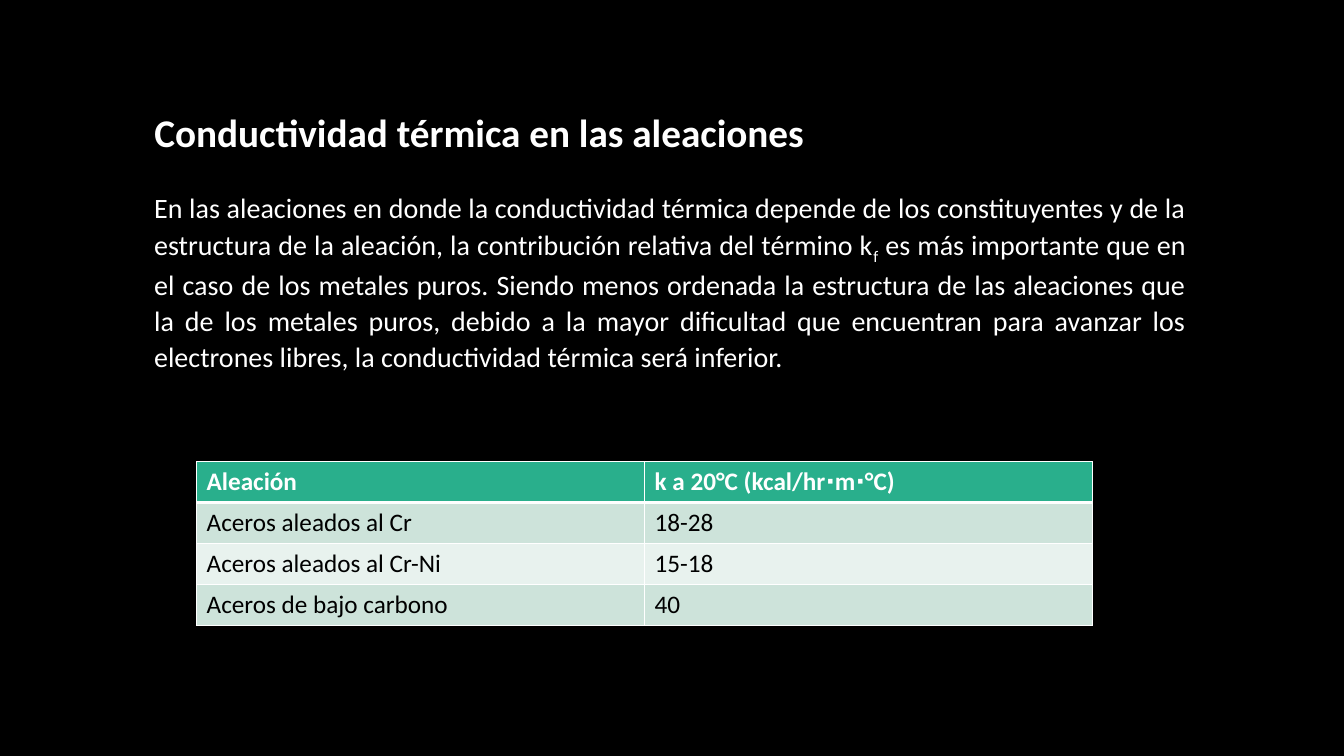
"""Slide on the thermal conductivity of alloys, with a table of values."""
from lxml import etree
from pptx import Presentation, util as u
from pptx.dml.color import RGBColor
from pptx.enum import text
from pptx.oxml.ns import qn

COLORS = {"back": "000000", "light": "FFFFFF", "dark": "000000",
          "header": "29AF8C", "band": "CDE3DA", "pale": "E8F2EE"}


def format_font(font, size, color, bold=False):
    for name, value in {"name": "Calibri", "size": u.Pt(size), "bold": bold}.items():
        setattr(font, name, value)
    font.color.rgb = RGBColor.from_string(COLORS[color])


def add_border(cell, side, points):
    line = etree.SubElement(cell._tc.get_or_add_tcPr(), qn(f"a:ln{side}"),
                            w=str(u.Pt(points)))
    fill = etree.SubElement(line, qn("a:solidFill"))
    etree.SubElement(fill, qn("a:srgbClr"), val=COLORS["light"])


deck = Presentation()
deck.slide_width, deck.slide_height = u.Inches(13.33), u.Inches(7.5)
column, row = deck.slide_width / 100, deck.slide_height / 100
slide = deck.slides.add_slide(deck.slide_layouts[5])
slide.background.fill.solid()
slide.background.fill.fore_color.rgb = RGBColor.from_string(COLORS["back"])

left, width = int(10.73 * column), int(78.25 * column)
heading = slide.shapes.title
explanation = slide.shapes.add_textbox(left, int(24.27 * row), width, int(26 * row))
for name, value in {"left": left, "top": int(13.2 * row),
                    "width": width, "height": int(8.5 * row)}.items():
    setattr(heading, name, value)

heading.text_frame.text = "Conductividad térmica en las aleaciones"
paragraph = explanation.text_frame.paragraphs[0]
for words, baseline in [
    ("En las aleaciones en donde la conductividad térmica depende de los "
     "constituyentes y de la estructura de la aleación, la contribución relativa "
     "del término k", 0),
    ("f", -25000),
    (" es más importante que en el caso de los metales puros. Siendo menos ordenada "
     "la estructura de las aleaciones que la de los metales puros, debido a la mayor "
     "dificultad que encuentran para avanzar los electrones libres, la conductividad "
     "térmica será inferior.", 0),
]:
    run = paragraph.add_run()
    run.text = words
    format_font(run.font, 20, "light")
    if baseline:
        run._r.get_or_add_rPr().set("baseline", str(baseline))
format_font(heading.text_frame.paragraphs[0].runs[0].font, 28, "light", True)

for part in (heading, explanation):
    for name, value in {"word_wrap": True, "auto_size": text.MSO_AUTO_SIZE.NONE,
                        "vertical_anchor": text.MSO_ANCHOR.TOP}.items():
        setattr(part.text_frame, name, value)
    for name, value in {"alignment": text.PP_ALIGN.JUSTIFY, "line_spacing": 1.07,
                        "space_before": u.Pt(0)}.items():
        setattr(part.text_frame.paragraphs[0], name, value)

alloys = [
    ("Aleación", "k a 20°C (kcal/hr∙m∙°C)"),
    ("Aceros aleados al Cr", "18-28"),
    ("Aceros aleados al Cr-Ni", "15-18"),
    ("Aceros de bajo carbono", "40"),
]
conductivities = slide.shapes.add_table(
    len(alloys), 2, int(14.63 * column), int(61.07 * row),
    int(66.67 * column), int(5.4 * row * len(alloys))).table
for r, values in enumerate(alloys):
    background = "header" if r == 0 else "band" if r % 2 else "pale"
    for c, value in enumerate(values):
        cell = conductivities.cell(r, c)
        cell.text = value
        format_font(cell.text_frame.paragraphs[0].runs[0].font, 18,
                    "dark" if r else "light", r == 0)
        for side, points in {"L": 1, "R": 1, "T": 3 if r == 1 else 1,
                             "B": 3 if r == 0 else 1}.items():
            add_border(cell, side, points)
        cell.fill.solid()
        cell.fill.fore_color.rgb = RGBColor.from_string(COLORS[background])

deck.save("out.pptx")
